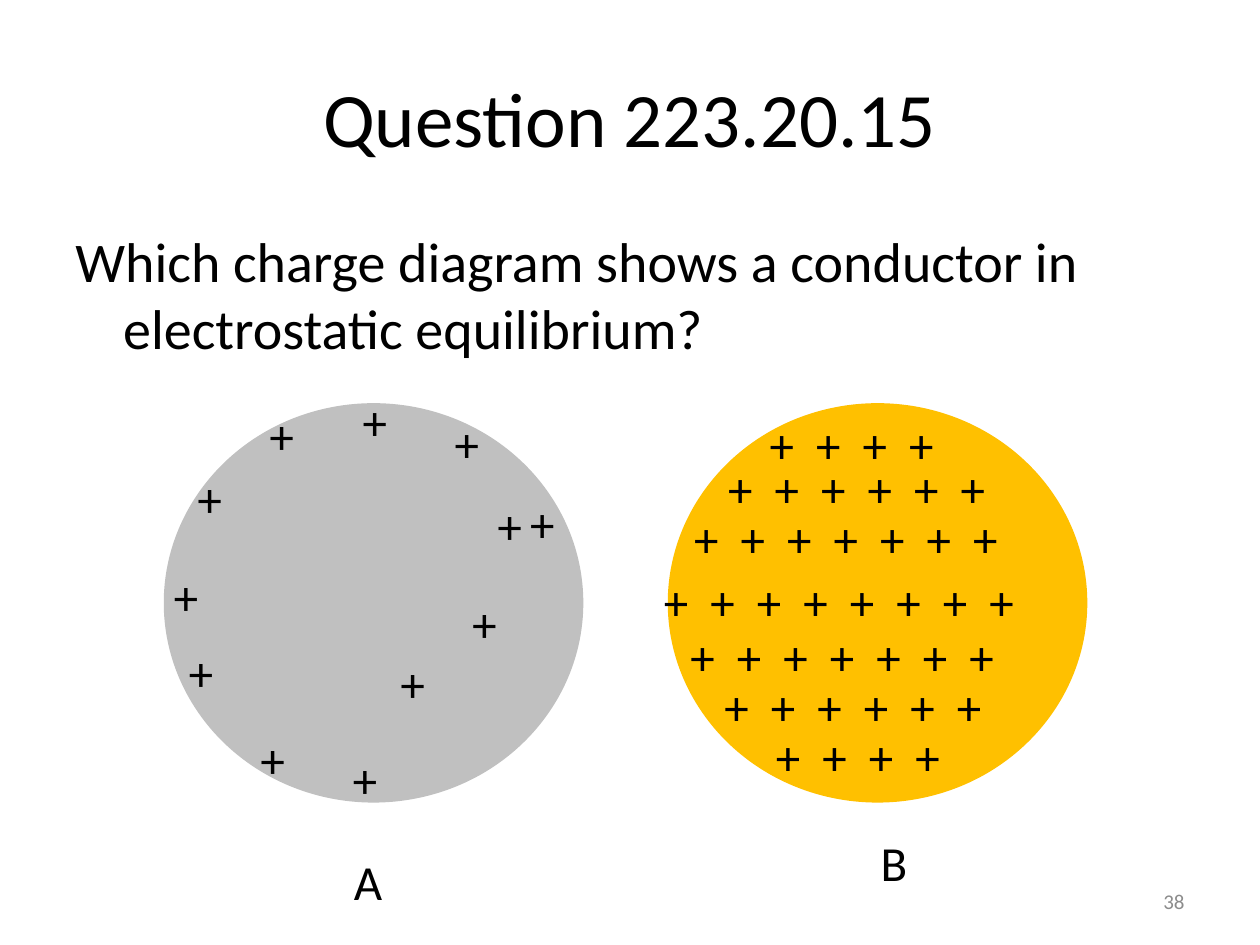
from pptx import Presentation
from pptx.dml.color import RGBColor
from pptx.enum.shapes import MSO_SHAPE
from pptx.enum.text import MSO_ANCHOR, MSO_AUTO_SIZE, PP_ALIGN
from pptx.util import Inches, Pt

BLACK = RGBColor(0x00, 0x00, 0x00)
GRAY = RGBColor(0x8C, 0x8C, 0x8C)
SILVER = RGBColor(0xC0, 0xC0, 0xC0)
GOLD = RGBColor(0xFF, 0xC0, 0x00)
FONT = "Calibri"

# Scattered charges on A: left, top, turn in degrees
SPOTS = [
    (2.69, 5.96, 180), (1.96, 5.80, 180), (1.39, 5.11, 180),
    (3.07, 5.20, 180), (3.64, 4.72, 180), (3.84, 3.94, 180),
    (2.78, 3.06, 0), (3.51, 3.23, 0), (4.11, 3.87, 0),
    (2.03, 3.23, 180), (1.46, 3.73, 180), (1.27, 4.51, 180),
]
# Rows of charges filling B: left, top, count
ROWS = [
    (6.01, 3.24, 4), (5.68, 3.59, 6), (5.41, 3.99, 7), (5.17, 4.49, 8),
    (5.38, 4.92, 7), (5.65, 5.32, 6), (6.06, 5.72, 4),
]


def add_text(slide, text, left, top, width, height, size,
             color=BLACK, align=PP_ALIGN.LEFT, anchor=MSO_ANCHOR.TOP):
    box = slide.shapes.add_textbox(
        Inches(left), Inches(top), Inches(width), Inches(height))
    frame = box.text_frame
    frame.word_wrap = True
    frame.vertical_anchor = anchor
    frame.text = text
    par = frame.paragraphs[0]
    par.alignment = align
    font = par.runs[0].font
    font.name = FONT
    font.size = Pt(size)
    font.color.rgb = color
    return box


def add_label(slide, text, left, top, width):
    box = add_text(slide, text, left, top, width, 0.57, 28)
    box.text_frame.word_wrap = False
    box.text_frame.auto_size = MSO_AUTO_SIZE.SHAPE_TO_FIT_TEXT
    return box


def add_row(slide, left, top, count):
    box = add_label(slide, " ".join("+" * count), left, top, 0.44 * count)
    run = box.text_frame.paragraphs[0].runs[0]
    # Letter spacing, in hundredths of a point
    run.font._element.set("spc", "320")


def add_ball(slide, left, color):
    ball = slide.shapes.add_shape(
        MSO_SHAPE.OVAL, Inches(left), Inches(3.2), Inches(3.33), Inches(3.17))
    ball.shadow.inherit = False
    ball.fill.solid()
    ball.fill.fore_color.rgb = color
    ball.line.fill.background()


def main():
    prs = Presentation()
    prs.slide_width = Inches(10)
    prs.slide_height = Inches(7.5)
    slide = prs.slides.add_slide(prs.slide_layouts[6])

    # Title, question and page number
    add_text(slide, "Question 223.20.15", 0.5, 0.3, 9, 1.25, 44,
             align=PP_ALIGN.CENTER, anchor=MSO_ANCHOR.MIDDLE)
    body = add_text(
        slide,
        "Which charge diagram shows a conductor in electrostatic equilibrium?",
        0.5, 1.75, 9, 1.88, 32)
    props = body.text_frame.paragraphs[0]._p.get_or_add_pPr()
    props.set("marL", str(Inches(0.38)))
    props.set("indent", str(Inches(-0.38)))
    add_text(slide, "38", 7.17, 6.95, 2.33, 0.4, 12, GRAY,
             PP_ALIGN.RIGHT, MSO_ANCHOR.MIDDLE)

    # Diagram A: scattered charges
    add_ball(slide, 1.3, SILVER)
    for left, top, turn in SPOTS:
        add_label(slide, "+", left, top, 0.4).rotation = turn

    # Diagram B: charges throughout
    add_ball(slide, 5.3, GOLD)
    for left, top, count in ROWS:
        add_row(slide, left, top, count)

    # Diagram names
    add_label(slide, "A", 2.71, 6.71, 0.46)
    add_label(slide, "B", 6.89, 6.56, 0.46)

    prs.save("out.pptx")


if __name__ == "__main__":
    main()
